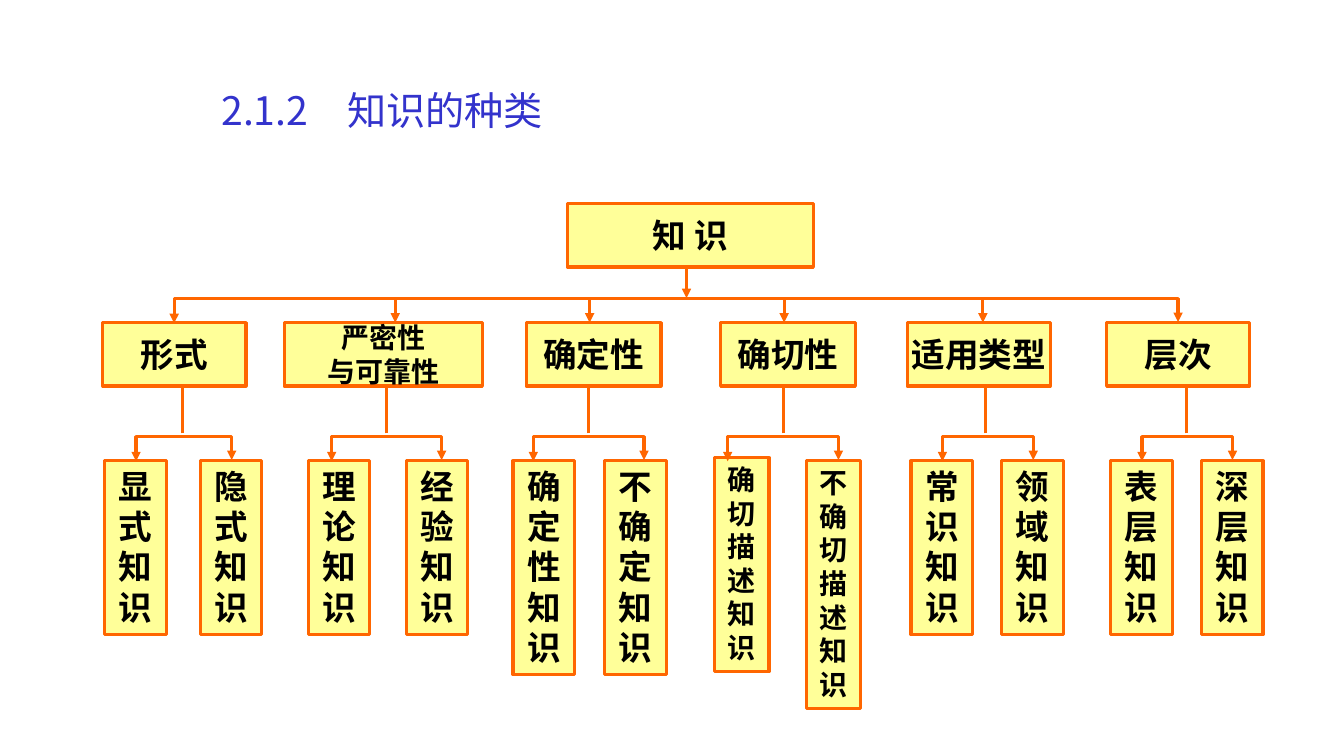
from dataclasses import dataclass

from lxml.etree import SubElement
from pptx import Presentation
from pptx.dml.color import RGBColor
from pptx.enum.shapes import MSO_CONNECTOR, MSO_SHAPE
from pptx.enum.text import MSO_ANCHOR, MSO_AUTO_SIZE, PP_ALIGN
from pptx.oxml.ns import qn
from pptx.util import Cm, Pt

COLORS = {"title": "3333CC", "text": "000000", "fill": "FFFF99", "line": "FF6600"}
FONT = "Noto Sans CJK SC"
LINE_WIDTH = 2.25
BOX_HEIGHT = 1.6
BRANCH_TOP = 8.13
BAR_RISE = 0.62
STEM_LENGTH = 1.19
LEAF_DROP = 3.48
ELBOW_DEPTH = 0.03


@dataclass
class Leaf:
    """A narrow box, placed by its offset from the left of its branch."""
    text: str
    offset: float
    arrow: float
    width: float = 1.55
    size: int = 24
    drop: float = LEAF_DROP


@dataclass
class Branch:
    """A category box with the offsets of its lines."""
    lines: tuple
    left: float
    width: float
    stem: float
    leaves: tuple
    drop: float = None
    size: int = 24


BRANCHES = (
    Branch(("形式",), 2.59, 3.61, 2.01,
           (Leaf("显式知识", 0.05, 0.84), Leaf("隐式知识", 2.46, 3.25))),
    Branch(("严密性", "与可靠性"), 7.16, 5, 2.59,
           (Leaf("理论知识", 0.61, 1.2), Leaf("经验知识", 3.08, 3.97)), 2.8, 20),
    Branch(("确定性",), 13.26, 3.4, 1.57,
           (Leaf("确定性知识", -0.33, 0.18), Leaf("不确定知识", 1.98, 2.97)), 1.6),
    Branch(("确切性",), 18.16, 3.4, 1.58,
           (Leaf("确切描述知识", -0.15, 0.18, 1.37, 20, 3.4),
            Leaf("不确切描述知识", 2.16, 2.97, 1.37, 20)), 1.6),
    Branch(("适用类型",), 22.86, 3.61, 1.98,
           (Leaf("常识知识", 0.1, 0.89), Leaf("领域知识", 2.39, 3.18)), 1.91),
    Branch(("层次",), 27.89, 3.61, 2.01,
           (Leaf("表层知识", 0.1, 0.89), Leaf("深层知识", 2.39, 3.17))),
)


def set_font(paragraph, size, color, bold):
    """Set one font for the Latin and East Asian text of a paragraph."""
    font = paragraph.font
    font.size = Pt(size)
    font.bold = bold
    font.name = FONT
    font.color.rgb = RGBColor.from_string(COLORS[color])
    SubElement(font._element, qn("a:ea"), typeface=FONT)


def add_box(slide, left, top, width, height, lines, size):
    """Draw a yellow box with centred bold text and return it."""
    shape = slide.shapes.add_shape(
        MSO_SHAPE.RECTANGLE, Cm(left), Cm(top), Cm(width), Cm(height))
    shape.shadow.inherit = False
    shape.fill.solid()
    shape.fill.fore_color.rgb = RGBColor.from_string(COLORS["fill"])
    shape.line.color.rgb = RGBColor.from_string(COLORS["line"])
    shape.line.width = Pt(LINE_WIDTH)
    frame = shape.text_frame
    frame.word_wrap = False
    frame.vertical_anchor = MSO_ANCHOR.MIDDLE
    for index, line in enumerate(lines):
        paragraph = frame.add_paragraph() if index else frame.paragraphs[0]
        paragraph.text = line
        paragraph.alignment = PP_ALIGN.CENTER
        paragraph.line_spacing = Pt(1.2 * size)
        set_font(paragraph, size, "text", True)
    return shape


def add_line(slide, kind, start, end, arrows=()):
    """Draw an orange connector with triangles at the ends named in arrows."""
    connector = slide.shapes.add_connector(
        kind, Cm(start[0]), Cm(start[1]), Cm(end[0]), Cm(end[1]))
    connector.line.color.rgb = RGBColor.from_string(COLORS["line"])
    connector.line.width = Pt(LINE_WIDTH)
    outline = connector.line._get_or_add_ln()
    for arrow in arrows:
        SubElement(outline, qn(f"a:{arrow}"), type="triangle")
    SubElement(connector._element.spPr, qn("a:effectLst"))
    return connector


def add_bracket(slide, left, right, bottom):
    """Draw a bar whose two ends turn down into arrows."""
    middle, half_span = (left + right) / 2, (right - left) / 2
    half_depth = ELBOW_DEPTH / 2
    connector = add_line(
        slide, MSO_CONNECTOR.ELBOW,
        (middle + half_depth, bottom + half_span),
        (middle - half_depth, bottom - half_span), ("headEnd", "tailEnd"))
    properties = connector._element.spPr
    properties.find(qn("a:xfrm")).set("rot", "5400000")
    geometry = properties.find(qn("a:prstGeom"))
    guides = geometry.find(qn("a:avLst"))
    if guides is None:
        guides = SubElement(geometry, qn("a:avLst"))
    ratio = round(BAR_RISE / ELBOW_DEPTH * 100000)
    SubElement(guides, qn("a:gd"), name="adj1", fmla=f"val {ratio}")


def draw_title(slide, left, top, width, height):
    """Write the slide title."""
    frame = slide.shapes.add_textbox(Cm(left), Cm(top), Cm(width), Cm(height)).text_frame
    frame.word_wrap = True
    frame.vertical_anchor = MSO_ANCHOR.MIDDLE
    paragraph = frame.paragraphs[0]
    paragraph.text = "2.1.2　知识的种类"
    paragraph.line_spacing = 0.9
    set_font(paragraph, 28, "title", False)


def draw_root(slide, left, top, width):
    """Draw the top box, its arrow and the bar over the branches."""
    add_box(slide, left, top, width, BOX_HEIGHT, ("知 识",), 24)
    arrow = left + 3
    add_line(slide, MSO_CONNECTOR.STRAIGHT, (arrow, top + BOX_HEIGHT),
             (arrow, BRANCH_TOP - BAR_RISE), ("tailEnd",))
    add_bracket(slide, 4.39, 29.69, BRANCH_TOP)


def draw_branch(slide, branch, left, top):
    """Draw a category box with its lines and leaves."""
    add_box(slide, left, top, branch.width, BOX_HEIGHT, branch.lines, branch.size)
    if branch.drop is not None:
        arrow = left + branch.drop
        add_line(slide, MSO_CONNECTOR.STRAIGHT, (arrow, top - BAR_RISE),
                 (arrow, top), ("tailEnd",))
    for leaf in branch.leaves:
        height = 0.33 + 0.0422 * leaf.size * len(leaf.text)
        shape = add_box(slide, left + leaf.offset, top + leaf.drop,
                        leaf.width, height, (leaf.text,), leaf.size)
        shape.text_frame.word_wrap = True
        shape.text_frame.vertical_anchor = MSO_ANCHOR.TOP
        shape.text_frame.auto_size = MSO_AUTO_SIZE.SHAPE_TO_FIT_TEXT
    stem, bottom = left + branch.stem, top + BOX_HEIGHT
    add_line(slide, MSO_CONNECTOR.STRAIGHT, (stem, bottom + STEM_LENGTH), (stem, bottom))
    first, last = branch.leaves
    add_bracket(slide, left + first.arrow, left + last.arrow, top + LEAF_DROP)


def main():
    """Build the slide and save it."""
    presentation = Presentation()
    presentation.slide_width = Cm(33.87)
    presentation.slide_height = Cm(19.05)
    slide = presentation.slides.add_slide(presentation.slide_layouts[6])
    draw_title(slide, 5.33, 1.93, 22.86, 1.8)
    draw_root(slide, 14.3, 5.13, 6.2)
    for branch in BRANCHES:
        draw_branch(slide, branch, branch.left, BRANCH_TOP)
    presentation.save("out.pptx")


if __name__ == "__main__":
    main()
